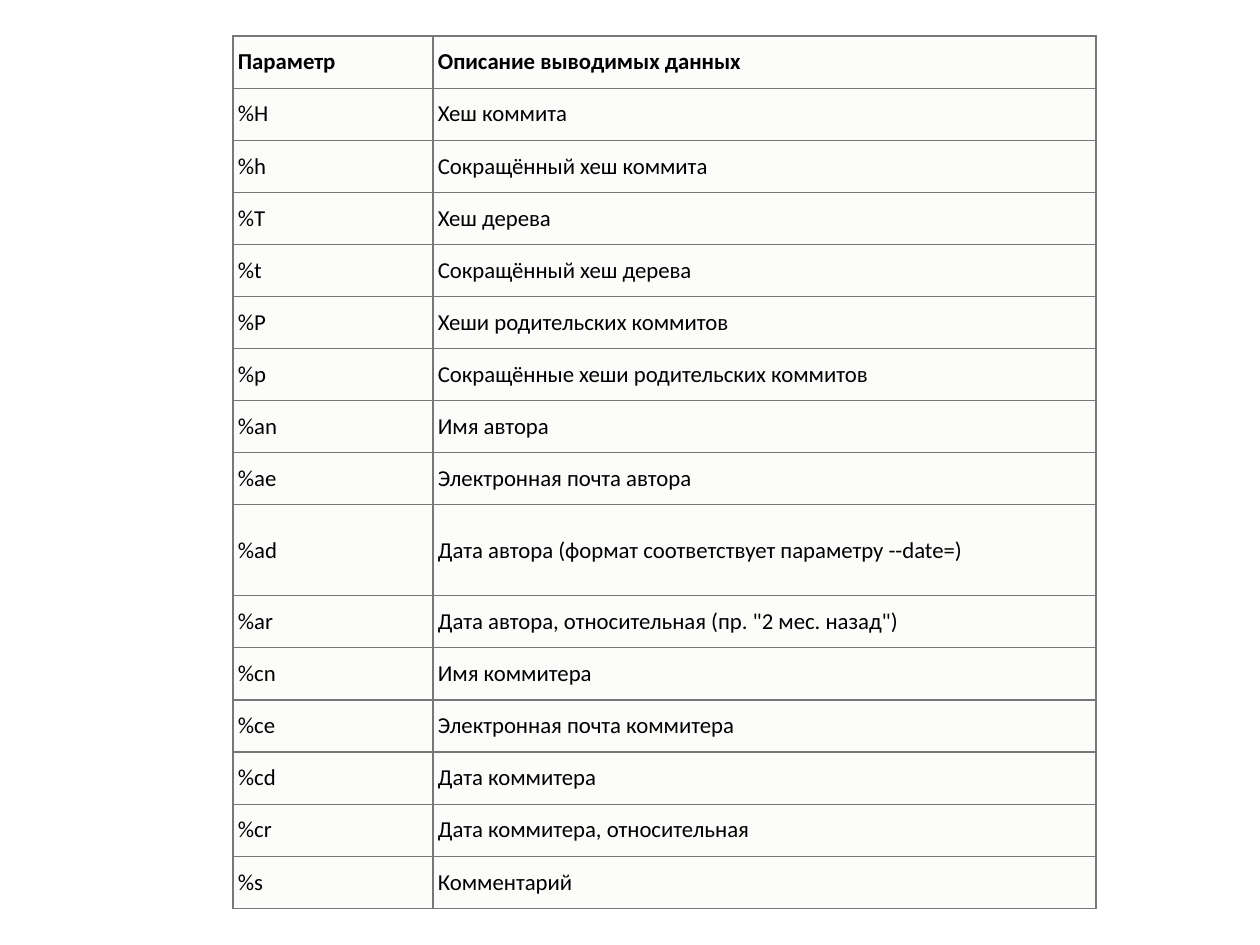
from lxml import etree
from pptx import Presentation
from pptx.dml.color import RGBColor
from pptx.enum.text import MSO_ANCHOR
from pptx.oxml.ns import qn
from pptx.util import Emu, Pt

MIDDLE = MSO_ANCHOR.MIDDLE
EMU_PER_PX = 914400 / 126
BLANK_LAYOUT = 6
COLORS = {"text": "000000", "cell": "FCFCFA", "border": "777777"}
FONT = "Calibri"
FONT_SIZE = 13
BORDER_WIDTH = 0.75
CELL_MARGIN = 5
TABLE_BOX = (233, 36, 863, 873)
PARAMETER_WIDTH = 200
TALL_PARAMETER = "%ad"
TALL_HEIGHT = 91
ROWS = [
    ("Параметр", "Описание выводимых данных"),
    ("%H", "Хеш коммита"),
    ("%h", "Сокращённый хеш коммита"),
    ("%T", "Хеш дерева"),
    ("%t", "Сокращённый хеш дерева"),
    ("%P", "Хеши родительских коммитов"),
    ("%p", "Сокращённые хеши родительских коммитов"),
    ("%an", "Имя автора"),
    ("%ae", "Электронная почта автора"),
    ("%ad", "Дата автора (формат соответствует параметру --date=)"),
    ("%ar", 'Дата автора, относительная (пр. "2 мес. назад")'),
    ("%cn", "Имя коммитера"),
    ("%ce", "Электронная почта коммитера"),
    ("%cd", "Дата коммитера"),
    ("%cr", "Дата коммитера, относительная"),
    ("%s", "Комментарий"),
]


def px(length):
    """Turn pixels into EMU."""
    return Emu(round(length * EMU_PER_PX))


def color(name):
    """Return a named palette colour."""
    return RGBColor.from_string(COLORS[name])


def add_borders(cell):
    """Draw a thin line on all four sides of a cell."""
    properties = cell._tc.get_or_add_tcPr()
    for position, side in enumerate(("lnL", "lnR", "lnT", "lnB")):
        line = etree.Element(qn(f"a:{side}"), w=str(Pt(BORDER_WIDTH)))
        fill = etree.SubElement(line, qn("a:solidFill"))
        etree.SubElement(fill, qn("a:srgbClr"), val=COLORS["border"])
        properties.insert(position, line)


def format_cell(cell, text, bold):
    """Fill a cell and set its text."""
    cell.fill.solid()
    cell.fill.fore_color.rgb = color("cell")
    cell.vertical_anchor = MIDDLE
    cell.margin_left = cell.margin_right = px(CELL_MARGIN)
    cell.margin_top = cell.margin_bottom = px(CELL_MARGIN)
    cell.text_frame.text = text
    font = cell.text_frame.paragraphs[0].runs[0].font
    font.name = FONT
    font.size = Pt(FONT_SIZE)
    font.bold = bold
    font.color.rgb = color("text")
    add_borders(cell)


def add_parameter_table(slide, box):
    """Place the table of format parameters in the box."""
    left, top, width, height = box
    frame = slide.shapes.add_table(
        len(ROWS), 2, px(left), px(top), px(width), px(height)
    )
    table = frame.table
    table.horz_banding = False
    table.columns[0].width = px(PARAMETER_WIDTH)
    table.columns[1].width = px(width - PARAMETER_WIDTH)
    row_height = (height - TALL_HEIGHT) / (len(ROWS) - 1)
    for index, texts in enumerate(ROWS):
        is_tall = texts[0] == TALL_PARAMETER
        table.rows[index].height = px(TALL_HEIGHT if is_tall else row_height)
        for column, text in enumerate(texts):
            format_cell(table.cell(index, column), text, bold=index == 0)


def main():
    """Build the presentation and save it."""
    presentation = Presentation()
    presentation.slide_width = px(1260)
    presentation.slide_height = px(945)
    layout = presentation.slide_layouts[BLANK_LAYOUT]
    slide = presentation.slides.add_slide(layout)
    add_parameter_table(slide, TABLE_BOX)
    presentation.save("out.pptx")


if __name__ == "__main__":
    main()
